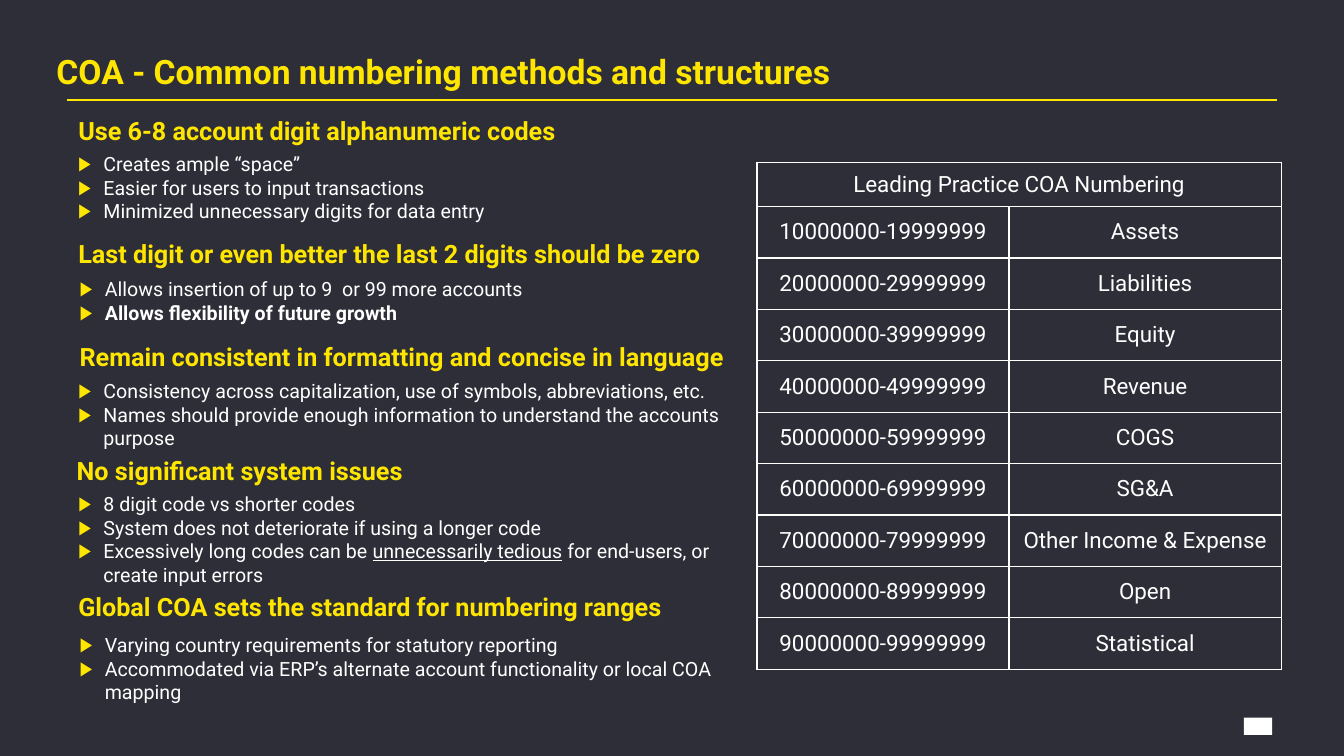
from lxml.etree import SubElement
from pptx import Presentation
from pptx.dml.color import RGBColor
from pptx.enum.shapes import MSO_CONNECTOR, MSO_SHAPE
from pptx.enum.text import MSO_ANCHOR, MSO_AUTO_SIZE, PP_ALIGN
from pptx.oxml.ns import qn
from pptx.util import Inches, Pt

HUES = {"back": "2E2E38", "gold": "FFE600", "white": "FFFFFF"}
TITLE = "COA - Common numbering methods and structures"
BOLD, UNDER = {"bold": True}, {"underline": True}
PARTS = [
    ("Use 6-8 account digit alphanumeric codes", (2, 4.32, 15.75), (2, 5.8, 15.81), [
        [("Creates ample “space”", {})],
        [("Easier for users to input transactions", {})],
        [("Minimized unnecessary digits for data entry", {})]]),
    ("Last digit or even better the last 2 digits should be zero", (2, 9.2, 20.43), (2.04, 10.76, 14.73), [
        [("Allows insertion of up to 9  or 99 more accounts", {})],
        [("Allows flexibility of future growth", BOLD)]]),
    ("Remain consistent in formatting and concise in language", (2.04, 13.32, 20.43), (2, 14.8, 20.85), [
        [("Consistency across capitalization, use of symbols, abbreviations, etc.", {})],
        [("Names should provide enough information to understand the accounts purpose", {})]]),
    ("No significant system issues", (1.95, 17.84, 12.54), (2, 19.28, 20.16), [
        [("8 digit code vs shorter codes", {})],
        [("System does not deteriorate if using a longer code", {})],
        [("Excessively long codes can be ", {}), ("unnecessarily tedious", UNDER),
         (" for end-users, or create input errors", {})]]),
    ("Global COA sets the standard for numbering ranges", (2, 23.24, 19.14), (2.04, 24.88, 20.1), [
        [("Varying country requirements for statutory reporting", {})],
        [("Accommodated via ERP’s alternate account functionality or local COA mapping", {})]]),
]
HEAD = "Leading Practice COA Numbering"
KINDS = ["Assets", "Liabilities", "Equity", "Revenue", "COGS", "SG&A",
         "Other Income & Expense", "Open", "Statistical"]
LOOKS = {
    "title": {"size": Pt(24), "bold": True, "hue": "gold"},
    "head": {"size": Pt(18), "bold": True, "hue": "gold"},
    "item": {"size": Pt(14), "hue": "white"},
    "cell": {"size": Pt(16), "hue": "white"},
}
SIDES = ("left", "top", "right", "bottom")

deck = Presentation()
deck.slide_width, deck.slide_height = Inches(40 / 3), Inches(7.5)
COL, ROW = deck.slide_width / 40, deck.slide_height / 30
slide = deck.slides.add_slide(deck.slide_layouts[5])
shapes = slide.shapes


def color(name):
    return RGBColor.from_string(HUES[name])


def grid(x, y, w, h):
    return [round(v) for v in (x * COL, y * ROW, w * COL, h * ROW)]


def assign(thing, values):
    for name, value in values.items():
        setattr(thing, name, value)


def pad(thing, *gaps):
    assign(thing, {f"margin_{s}": Inches(g) for s, g in zip(SIDES, gaps)})


def write(para, runs, look):
    for text, extra in runs:
        run = para.add_run()
        run.text = text
        form = {"name": "Roboto", **LOOKS[look], **extra}
        run.font.color.rgb = color(form.pop("hue"))
        assign(run.font, form)


def bullet(para):
    props = para._p.get_or_add_pPr()
    props.set("marL", str(Inches(0.25)))
    props.set("indent", str(-Inches(0.25)))
    tint = SubElement(props, qn("a:buClr"))
    SubElement(tint, qn("a:srgbClr"), val=HUES["gold"])
    SubElement(props, qn("a:buFont"), typeface="Arial")
    SubElement(props, qn("a:buChar"), char="▶")


def block(spot, items, look, rows):
    frame = shapes.add_textbox(*grid(*spot, rows)).text_frame
    assign(frame, {"word_wrap": True, "auto_size": MSO_AUTO_SIZE.SHAPE_TO_FIT_TEXT})
    pad(frame, 0.11, 0.06, 0.11, 0.06)
    for i, runs in enumerate(items):
        para = frame.add_paragraph() if i else frame.paragraphs[0]
        if look == "item":
            bullet(para)
        write(para, runs, look)


def fill_cell(cell, text):
    cell.fill.background()
    cell.vertical_anchor = MSO_ANCHOR.MIDDLE
    pad(cell, 0.07, 0, 0.07, 0)
    para = cell.text_frame.paragraphs[0]
    para.alignment = PP_ALIGN.CENTER
    if text:
        write(para, [(text, {})], "cell")
    props = cell._tc.get_or_add_tcPr()
    for i, side in enumerate("LRTB"):
        edge = props.makeelement(qn(f"a:ln{side}"), {"w": str(Pt(1))})
        SubElement(SubElement(edge, qn("a:solidFill")), qn("a:srgbClr"), val=HUES["white"])
        props.insert(i, edge)


fill = slide.background.fill
fill.solid()
fill.fore_color.rgb = color("back")

title = shapes.title
assign(title, dict(zip(("left", "top", "width", "height"), grid(1.68, 2, 36, 2.6))))
frame = title.text_frame
assign(frame, {"word_wrap": True, "auto_size": MSO_AUTO_SIZE.NONE, "vertical_anchor": MSO_ANCHOR.TOP})
pad(frame, 0, 0, 0, 0)
frame.paragraphs[0].alignment = PP_ALIGN.LEFT
write(frame.paragraphs[0], [(TITLE, {})], "title")

rule = shapes.add_connector(MSO_CONNECTOR.STRAIGHT, *grid(2, 3.96, 38, 3.96))
rule.line.color.rgb = color("gold")
rule.line.width = Pt(1.5)
SubElement(rule._element.spPr, qn("a:effectLst"))

for head, spot, place, items in PARTS:
    block(spot, [[(head, {})]], "head", 1.64)
    block(place, items, "item", 0.46 + 0.94 * len(items))

ranges = [(f"{n}0000000-{n}9999999", kind) for n, kind in enumerate(KINDS, 1)]
cells = [(HEAD, "")] + ranges
table = shapes.add_table(len(cells), 2, *grid(22.53, 6.44, 15.6, 20.12)).table
assign(table, {"first_row": False, "horz_banding": False})
for column, cols in zip(table.columns, (7.5, 8.1)):
    column.width = round(cols * COL)
for r, texts in enumerate(cells):
    table.rows[r].height = round((2.04 if r else 1.76) * ROW)
    for c, text in enumerate(texts):
        fill_cell(table.cell(r, c), text)
table.cell(0, 0).merge(table.cell(0, 1))

mark = shapes.add_shape(MSO_SHAPE.RECTANGLE, *grid(37.02, 28.48, 0.84, 0.68))
mark.shadow.inherit = False
mark.fill.solid()
mark.fill.fore_color.rgb = color("white")
mark.line.fill.background()

deck.save("out.pptx")
